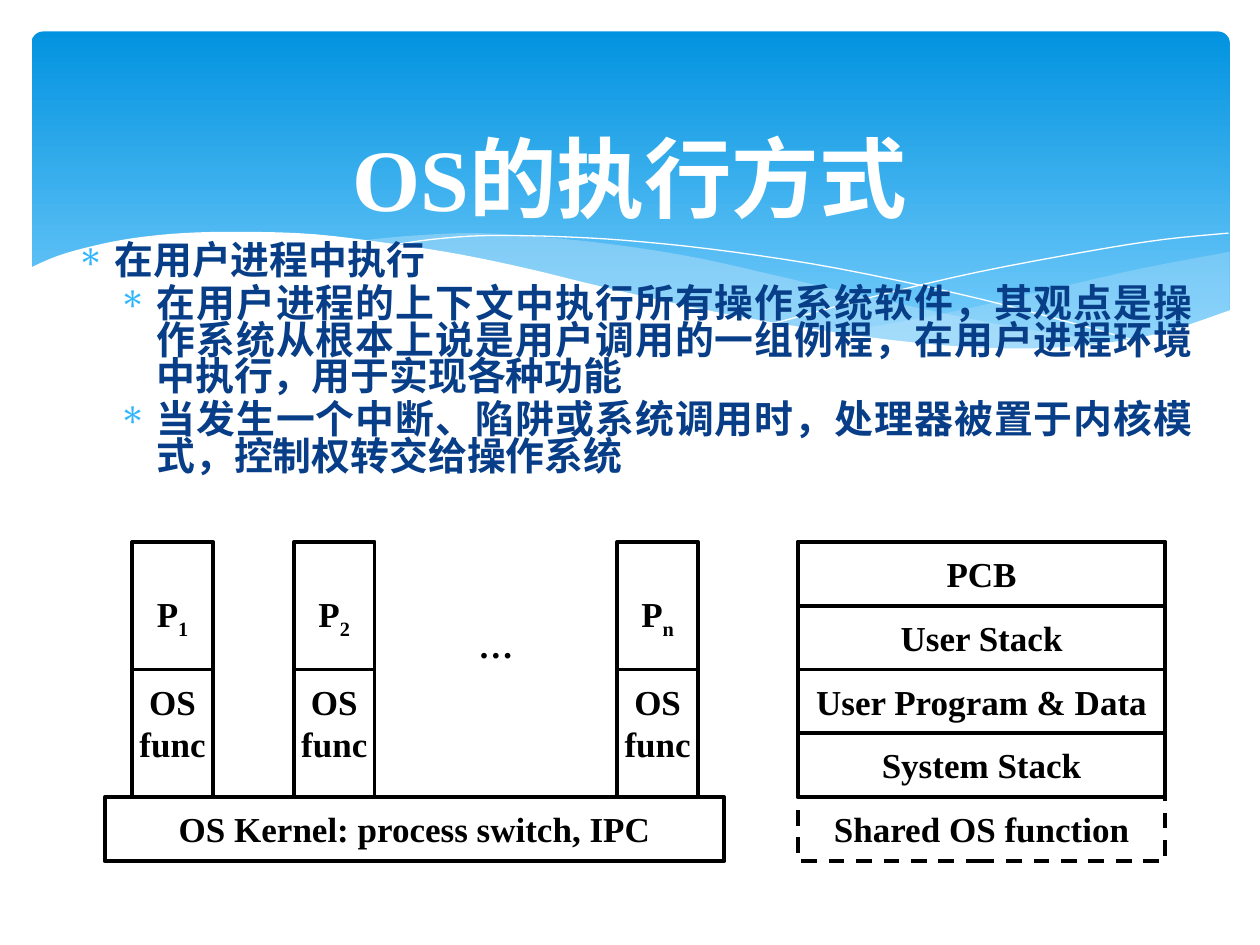
from lxml import etree
from pptx import Presentation
from pptx.dml.color import RGBColor
from pptx.enum import dml, shapes, text
from pptx.oxml import ns
from pptx.util import Pt

HUES = {"top": "0293E0", "low": "83D3FE", "mist": "C6E7FC", "white": "FFFFFF",
        "navy": "073E87", "mark": "31B6FD", "black": "000000"}
SERIF, SANS = "Times New Roman", "Calibri"

# Wave knots, in points from the band's top left corner
RIGHT = [
    [(684, 126), (634.3, 135.4), (581, 147.6), (524.2, 160.6), (457.9, 172.8)],
    [(457.9, 172.8), (499, 178.6), (535.7, 181.4), (568.1, 182.2), (596.9, 180.7),
     (627.8, 176.4), (655.2, 170.6), (684.7, 159.8)],
    [(684.7, 159.8), (684.7, 126)]]
MIDDLE = [
    [(625, 178.6), (563, 169.2), (515.5, 159.8), (463, 148.3), (423.4, 139),
     (381.6, 129.6), (342.7, 123.1), (299.5, 118.1), (255.6, 115.2),
     (218.2, 116.6), (187.9, 119.5)],
    [(187.9, 119.5), (228.2, 125.3), (272.9, 133.9), (305.3, 141.8), (363.6, 154.8),
     (414.7, 165.6), (460.8, 173.5), (501.8, 179.3), (538.6, 182.2),
     (571, 182.9), (599, 181.4), (625, 178.6)]]
FALL = [[(204.5, 122.4), (229, 118.8), (260.6, 116.6), (306, 117.4), (349.2, 120.2),
         (401, 126), (460.8, 135.4), (529.2, 149.8), (580.3, 162.7), (635, 177.8)]]
RISE = [[(423.4, 167), (482.4, 151.2), (540.7, 137.5), (605.5, 125.3),
         (647.3, 118.8), (684, 115.2)]]
FRONT = [
    [(685.4, 159.1), (651.6, 170.6), (620.6, 177.1), (584.6, 180.7), (542.2, 180.7),
     (491.8, 176.4), (432.7, 167.8), (381.6, 158.4), (324, 145.4), (283, 135.4),
     (244.8, 127.4), (208.8, 121.7), (162, 115.9), (121, 114.5), (87.1, 115.2),
     (58.3, 118.1), (36, 122.4), (15.1, 128.2), (-1.4, 135.4)],
    [(-1.4, 135.4), (-1.4, 218.9)],
    [(-1.4, 218.9), (685.4, 218.9)]]


def hue(name):
    return RGBColor.from_string(HUES[name])


def curve(knots, steps=4):
    """Smooth the knots with a Catmull-Rom spline."""
    ends = [knots[0], *knots, knots[-1]]
    dots = [knots[0]]
    for a, b, c, d in zip(ends, ends[1:], ends[2:], ends[3:]):
        for i in range(1, steps + 1):
            t = i / steps
            dots.append(tuple(
                (2 * q + (r - p) * t + (2 * p - 5 * q + 4 * r - s) * t ** 2
                 + (3 * q - p - 3 * r + s) * t ** 3) / 2
                for p, q, r, s in zip(a, b, c, d)))
    return dots


def wave(slide, x, y, parts, fill=None, alpha=None):
    """Draw a filled outline, or a thin white line when there is no fill."""
    dots = [(Pt(x + a), Pt(y + b)) for part in parts for a, b in curve(part)]
    pen = slide.shapes.build_freeform(*dots[0])
    pen.add_line_segments(dots[1:], close=fill is not None)
    shape = pen.convert_to_shape()
    shape.shadow.inherit = False
    if fill is None:
        shape.fill.background()
        shape.line.color.rgb = hue("white")
        shape.line.width = Pt(0)
        return
    shape.line.fill.background()
    shape.fill.solid()
    shape.fill.fore_color.rgb = hue(fill)
    if alpha:
        tone = shape.fill._xPr.find(".//" + ns.qn("a:srgbClr"))
        etree.SubElement(tone, ns.qn("a:alpha"), val=str(alpha * 1000))


def band(slide, x, y, w, h):
    base = slide.shapes.add_shape(shapes.MSO_SHAPE.ROUNDED_RECTANGLE,
                                  Pt(x), Pt(y), Pt(w), Pt(h))
    base.adjustments[0] = 0.034
    base.shadow.inherit = False
    base.line.fill.background()
    base.fill.gradient()
    base.fill.gradient_angle = 270
    for stop, name in zip(base.fill.gradient_stops, ("top", "low")):
        stop.color.rgb = hue(name)
    wave(slide, x, y, RIGHT, "mist", 29)
    wave(slide, x, y, MIDDLE, "mist", 40)
    wave(slide, x, y, FALL)
    wave(slide, x, y, RISE)
    wave(slide, x, y, FRONT, "white")


def style(para, size, face, name):
    font = para.font
    font.size, font.name, font.bold = Pt(size), face, True
    font.color.rgb = hue(name)


def inset(frame, left, top, right, low):
    frame.margin_left, frame.margin_top = Pt(left), Pt(top)
    frame.margin_right, frame.margin_bottom = Pt(right), Pt(low)
    frame.word_wrap = True


def label(frame, lines, size=20, name="black"):
    """Fill a frame with centred lines; a pair is a word and its subscript."""
    for i, line in enumerate(lines):
        para = frame.paragraphs[0] if i == 0 else frame.add_paragraph()
        para.alignment = text.PP_ALIGN.CENTER
        style(para, size, SERIF, name)
        word, sub = line if isinstance(line, tuple) else (line, None)
        para.add_run().text = word
        if sub:
            run = para.add_run()
            run.text = sub
            run.font._element.set("baseline", "-25000")


def title(slide, x, y, w, h):
    frame = slide.shapes.add_textbox(Pt(x), Pt(y), Pt(w), Pt(h)).text_frame
    inset(frame, 7.2, 3.6, 7.2, 3.6)
    frame.vertical_anchor = text.MSO_ANCHOR.MIDDLE
    label(frame, ["OS的执行方式"], 50, "white")


def body(slide, x, y, w, h):
    frame = slide.shapes.add_textbox(Pt(x), Pt(y), Pt(w), Pt(h)).text_frame
    inset(frame, 7.2, 6.6, 7.2, 3.6)
    items = [
        (0, "在用户进程中执行"),
        (1, "在用户进程的上下文中执行所有操作系统软件，其观点是操作系统从根本上说是"
            "用户调用的一组例程，在用户进程环境中执行，用于实现各种功能"),
        (1, "当发生一个中断、陷阱或系统调用时，处理器被置于内核模式，"
            "控制权转交给操作系统"),
    ]
    for i, (level, words) in enumerate(items):
        para = frame.paragraphs[0] if i == 0 else frame.add_paragraph()
        para.text, para.level = words, level
        para.line_spacing = Pt(21.1)
        if level:
            para.alignment = text.PP_ALIGN.JUSTIFY
            para.space_before = Pt(3)
        props = para._p.get_or_add_pPr()
        props.set("marL", str(Pt(21.6 + 24 * level)))
        props.set("indent", str(Pt(-21.6)))
        tint = etree.SubElement(props, ns.qn("a:buClr"))
        etree.SubElement(tint, ns.qn("a:srgbClr"), val=HUES["mark"])
        etree.SubElement(props, ns.qn("a:buChar"), char="∗")
        style(para, 22.2, SANS, "navy")


def cell(slide, x, y, w, h, lines, top=6, side=0, dash=False):
    box = slide.shapes.add_shape(shapes.MSO_SHAPE.RECTANGLE,
                                 Pt(x), Pt(y), Pt(w), Pt(h))
    box.shadow.inherit = False
    box.fill.background()
    box.line.color.rgb = hue("black")
    box.line.width = Pt(2.25)
    if dash:
        box.line.dash_style = dml.MSO_LINE.DASH
    inset(box.text_frame, side, top, side, 0)
    box.text_frame.vertical_anchor = text.MSO_ANCHOR.TOP
    label(box.text_frame, lines)


def tasks(slide, x, y, w, h):
    """Processes standing on the kernel, each with its own OS functions."""
    row, wide, step, left = h / 5, 46, 92.4, x + 15.8
    cell(slide, x, y + 4 * row, w, row, ["OS Kernel: process switch, IPC"], side=7.2)
    for col, sub in ((0, "1"), (1, "2"), (3, "n")):
        at = left + col * step
        cell(slide, at, y + 2 * row, wide, 2 * row, ["OS", "func"])
        cell(slide, at, y, wide, 2 * row, [("P", sub)], top=29, side=7.2)
    gap = slide.shapes.add_textbox(Pt(left + 2 * step), Pt(y), Pt(wide), Pt(4 * row))
    inset(gap.text_frame, 7.2, 75, 7.2, 6)
    label(gap.text_frame, ["…"])


def stack(slide, x, y, w, h):
    """Layout of one process, with the shared part dashed."""
    row = h / 5
    cell(slide, x, y + 4 * row, w, row, ["Shared OS function"], dash=True)
    names = ["PCB", "User Stack", "User Program & Data", "System Stack"]
    for i, name in enumerate(names):
        cell(slide, x, y + i * row, w, row, [name])


def main():
    deck = Presentation()
    deck.slide_width, deck.slide_height = Pt(720), Pt(540)
    slide = deck.slides.add_slide(deck.slide_layouts[6])
    band(slide, 18, 18, 684.7, 194.4)
    title(slide, 36, 77, 648, 48.2)
    body(slide, 36.7, 133.9, 652.3, 141.8)
    tasks(slide, 59.8, 309.6, 354.2, 182.5)
    stack(slide, 455.8, 309.6, 210.2, 182.5)
    deck.save("out.pptx")


if __name__ == "__main__":
    main()
